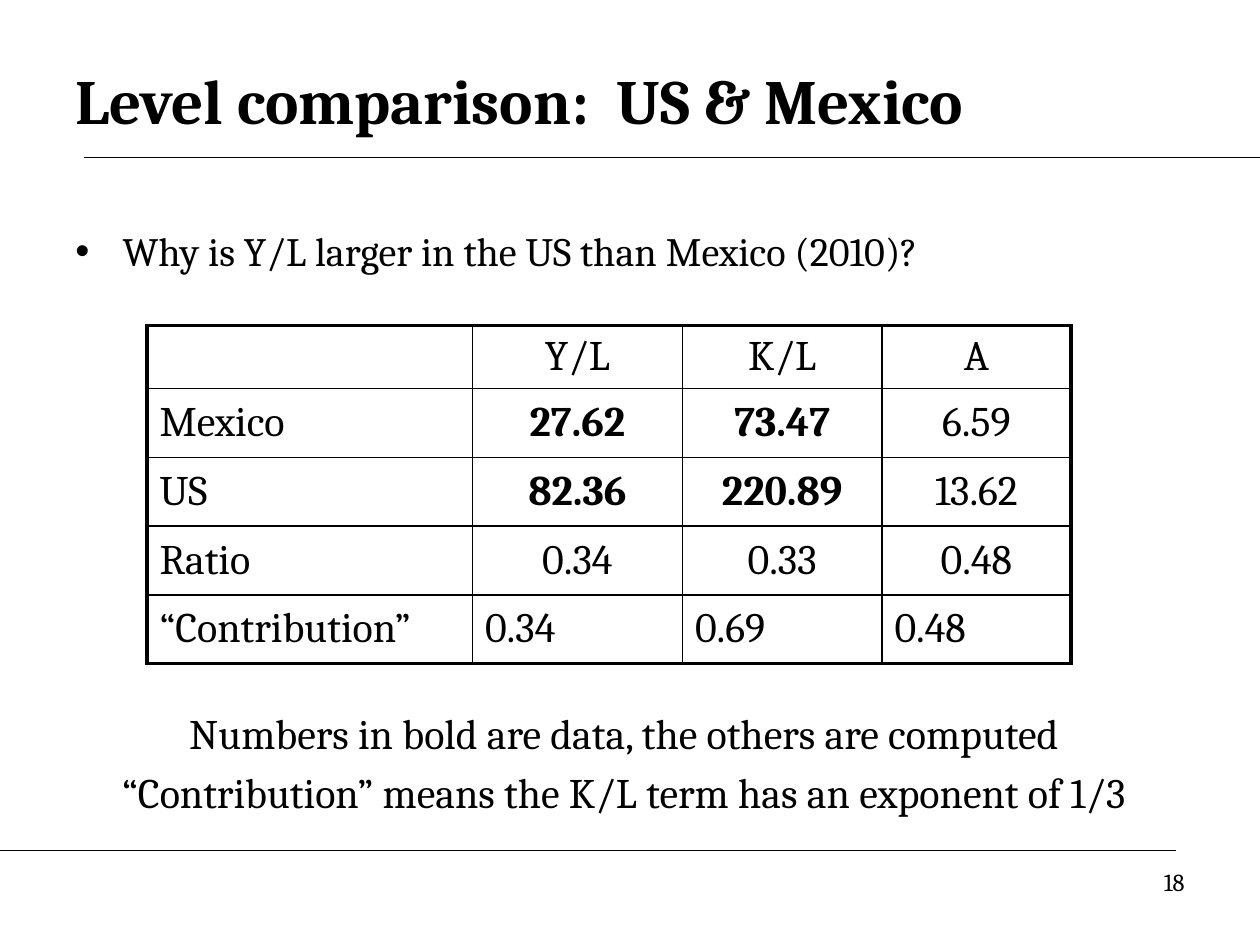
from lxml.etree import SubElement
from pptx import Presentation
from pptx.dml.color import RGBColor
from pptx.enum.shapes import MSO_CONNECTOR as Connector
from pptx.enum.text import MSO_ANCHOR as Anchor, PP_ALIGN as Align
from pptx.oxml.ns import qn
from pptx.util import Pt

COLORS = {"ink": "000000", "paper": "FFFFFF"}
INK = RGBColor.from_string(COLORS["ink"])


def style(para, size, bold=False, align=Align.LEFT):
    para.alignment = align
    formats = {"name": "Cambria", "size": Pt(size), "bold": bold}
    for name, value in formats.items():
        setattr(para.font, name, value)
    para.font.color.rgb = INK


def add_text(bounds, lines, size, bold=False, align=Align.LEFT, anchor=Anchor.TOP):
    frame = page.shapes.add_textbox(*map(Pt, bounds)).text_frame
    frame.word_wrap = True
    frame.vertical_anchor = anchor
    frame.text = "\n".join(lines)
    for index, para in enumerate(frame.paragraphs):
        style(para, size, bold, align)
        if index:
            para.space_before = Pt(size * 0.2)
    return frame


deck = Presentation()
deck.slide_width, deck.slide_height = Pt(720), Pt(540)
page = deck.slides.add_slide(deck.slide_layouts[6])
page.background.fill.solid()
page.background.fill.fore_color.rgb = RGBColor.from_string(COLORS["paper"])

for left, right, height in [(48, 720, 90), (0, 672, 486)]:
    rule = page.shapes.add_connector(
        Connector.STRAIGHT, Pt(left), Pt(height), Pt(right), Pt(height))
    rule.line.color.rgb = INK
    rule.line.width = Pt(0.75)
    SubElement(rule._element.spPr, qn("a:effectLst"))

add_text((36, 24, 648, 66), ["Level comparison:  US & Mexico"], 36,
         bold=True, anchor=Anchor.MIDDLE)

question = add_text((36, 126, 648, 48), [], 23).paragraphs[0]
properties = question._p.get_or_add_pPr()
properties.set("marL", str(Pt(27)))
properties.set("indent", str(Pt(-27)))
SubElement(properties, qn("a:buFont"), typeface="Arial")
SubElement(properties, qn("a:buChar"), char="•")
question.add_run().text = "Why is Y/L larger in the US than Mexico (2010)?"
style(question, 23)

rows = [
    ["", "Y/L", "K/L", "A"],
    ["Mexico", "27.62", "73.47", "6.59"],
    ["US", "82.36", "220.89", "13.62"],
    ["Ratio", "0.34", "0.33", "0.48"],
    ["“Contribution”", "0.34", "0.69", "0.48"],
]
widths = [186, 120, 114, 108]
heights = [35.3] + [39.3] * 4
last_row, last_column = len(rows) - 1, len(widths) - 1
table = page.shapes.add_table(len(rows), len(widths), Pt(84), Pt(186),
                              Pt(sum(widths)), Pt(sum(heights))).table
table.first_row = table.horz_banding = False
for column, width in zip(table.columns, widths):
    column.width = Pt(width)
for r, (values, height) in enumerate(zip(rows, heights)):
    table.rows[r].height = Pt(height)
    for c, value in enumerate(values):
        cell = table.cell(r, c)
        cell.text = value
        cell.vertical_anchor = Anchor.MIDDLE
        centred = c > 0 and r < last_row
        style(cell.text_frame.paragraphs[0], 24, r in (1, 2) and c in (1, 2),
              Align.CENTER if centred else Align.LEFT)
        outer = {"L": c == 0, "R": c == last_column, "T": r == 0, "B": r == last_row}
        for side, is_outer in outer.items():
            border = SubElement(cell._tc.get_or_add_tcPr(), qn(f"a:ln{side}"),
                                w=str(Pt(2.25 if is_outer else 1)))
            fill = SubElement(border, qn("a:solidFill"))
            SubElement(fill, qn("a:srgbClr"), val=COLORS["ink"])
        cell.fill.background()

add_text((516, 492, 168, 37), ["18"], 14, align=Align.RIGHT)
add_text((29.5, 401, 654, 64),
         ["Numbers in bold are data, the others are computed",
          "“Contribution” means the K/L term has an exponent of 1/3"],
         24, align=Align.CENTER)

deck.save("out.pptx")
